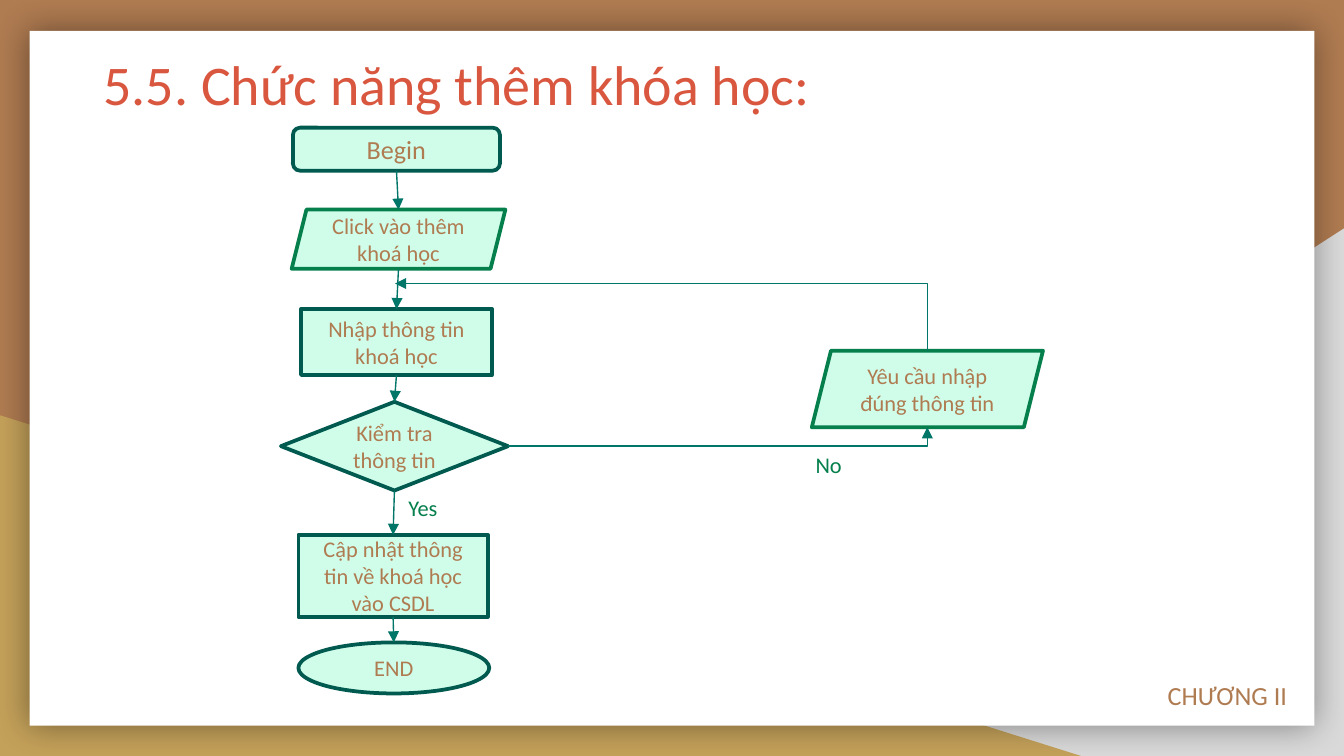
from lxml import etree
from pptx import Presentation
from pptx.dml.color import RGBColor
from pptx.enum import shapes, text
from pptx.oxml import ns
from pptx.util import Inches, Pt

BROWN, GOLD, GREY, WHITE = "AF7B51", "C4A15A", "D9D9D9", "FFFFFF"
RED, MINT, TEAL, DARK_TEAL, GREEN = "D9563F", "D0FDEA", "007669", "005A4F", "057F4C"
SHAPE = shapes.MSO_SHAPE
TOP, BOTTOM = 0, 2


def rgb(value):
    return RGBColor.from_string(value)


def child(parent, tag, **attributes):
    return etree.SubElement(parent, ns.qn(tag), attributes)


def style(paragraph, size, color):
    font = paragraph.font
    font.name, font.size = "Calibri", Pt(size)
    font.color.rgb = rgb(color)


def add_block(slide, kind, box, fill):
    block = slide.shapes.add_shape(kind, *map(Inches, box))
    block.shadow.inherit = False
    block.fill.solid()
    block.fill.fore_color.rgb = rgb(fill)
    block.line.fill.background()
    return block


def add_backdrop(slide):
    slide.background.fill.solid()
    slide.background.fill.fore_color.rgb = rgb(BROWN)
    corner = add_block(slide, SHAPE.RIGHT_TRIANGLE, (3.92, 1.7, 6.08, 3.93), GREY)
    corner.element.spPr.xfrm.set("flipH", "1")
    add_block(slide, SHAPE.RIGHT_TRIANGLE, (0, 3.09, 8.06, 2.54), GOLD)
    paper = add_block(slide, SHAPE.RECTANGLE, (0.22, 0.23, 9.56, 5.17), WHITE)
    effects = paper.element.spPr.find(ns.qn("a:effectLst"))
    shadow = child(effects, "a:outerShdw", blurRad=str(Pt(18)), dist="0",
                   algn="ctr", rotWithShape="0")
    child(child(shadow, "a:srgbClr", val="000000"), "a:alpha", val="40000")


def add_title(slide, words):
    title = slide.shapes.title
    title.left, title.top, title.width, title.height = map(Inches, (0.67, 0.27, 8.21, 1.04))
    title.element.getparent().append(title.element)  # in front of the backdrop
    frame = title.text_frame
    frame.text = words
    frame.auto_size = text.MSO_AUTO_SIZE.NONE
    frame.vertical_anchor = text.MSO_ANCHOR.TOP
    frame.margin_left = frame.margin_right = Inches(0.1)
    frame.margin_top = frame.margin_bottom = Inches(0.1)
    frame.paragraphs[0].alignment = text.PP_ALIGN.LEFT
    style(frame.paragraphs[0], 30, RED)


def add_label(slide, words, box, size, color):
    frame = slide.shapes.add_textbox(*map(Inches, box)).text_frame
    frame.word_wrap = True
    frame.text = words
    style(frame.paragraphs[0], size, color)


def add_step(slide, kind, words, box, outline=DARK_TEAL, size=12):
    step = add_block(slide, kind, box, MINT)
    step.line.color.rgb = rgb(outline)
    step.line.width = Pt(2)
    frame = step.text_frame
    frame.word_wrap = True
    frame.text = words
    frame.vertical_anchor = text.MSO_ANCHOR.MIDDLE
    frame.paragraphs[0].alignment = text.PP_ALIGN.CENTER
    style(frame.paragraphs[0], size, BROWN)
    return step


def add_arrow(slide, kind, start, end, arrow_end="a:tailEnd"):
    arrow = slide.shapes.add_connector(kind, *start, *end)
    arrow.line.color.rgb = rgb(TEAL)
    arrow.line.width = Pt(0.75)
    outline = arrow.element.spPr.find(ns.qn("a:ln"))
    child(outline, arrow_end, type="triangle")
    child(arrow.element.spPr, "a:effectLst")
    return arrow


def add_down_arrow(slide, upper, lower):
    """Arrow from bottom to top; slanted parallelograms are left unjoined."""
    arrow = add_arrow(slide, shapes.MSO_CONNECTOR.STRAIGHT,
                      (upper.left + upper.width // 2, upper.top + upper.height),
                      (lower.left + lower.width // 2, lower.top))
    if upper.auto_shape_type != SHAPE.PARALLELOGRAM:
        arrow.begin_connect(upper, BOTTOM)
    if lower.auto_shape_type != SHAPE.PARALLELOGRAM:
        arrow.end_connect(lower, TOP)


def add_corner_arrow(slide, start, end, arrow_end):
    """One-bend line: across from start, then up or down to end."""
    arrow = add_arrow(slide, shapes.MSO_CONNECTOR.ELBOW,
                      map(Inches, start), map(Inches, end), arrow_end)
    arrow.element.spPr.find(ns.qn("a:prstGeom")).set("prst", "bentConnector2")


def main():
    deck = Presentation()
    deck.slide_width = Inches(10)
    deck.slide_height = deck.slide_width * 9 // 16
    slide = deck.slides.add_slide(deck.slide_layouts[5])
    add_backdrop(slide)
    add_title(slide, "5.5. Chức năng thêm khóa học:")
    add_label(slide, "CHƯƠNG II", (8.59, 5.01, 1.3, 0.34), 14, BROWN)

    flow = [
        add_step(slide, SHAPE.ROUNDED_RECTANGLE, "Begin", (2.18, 0.95, 1.54, 0.32), size=14),
        add_step(slide, SHAPE.PARALLELOGRAM, "Click vào thêm khoá học",
                 (2.17, 1.56, 1.59, 0.44), GREEN),
        add_step(slide, SHAPE.RECTANGLE, "Nhập thông tin khoá học", (2.24, 2.3, 1.42, 0.49)),
        add_step(slide, SHAPE.DIAMOND, "Kiểm tra thông tin", (2.09, 2.99, 1.69, 0.66)),
        add_step(slide, SHAPE.RECTANGLE, "Cập nhật thông tin về khoá học vào CSDL",
                 (2.22, 3.98, 1.41, 0.61)),
        add_step(slide, SHAPE.OVAL, "END", (2.22, 4.78, 1.42, 0.38)),
    ]
    for upper, lower in zip(flow, flow[1:]):
        add_down_arrow(slide, upper, lower)

    add_step(slide, SHAPE.PARALLELOGRAM, "Yêu cầu nhập đúng thông tin",
             (6.04, 2.61, 1.72, 0.57), GREEN)
    add_corner_arrow(slide, (3.78, 3.32), (6.9, 3.18), "a:tailEnd")
    add_corner_arrow(slide, (2.94, 2.11), (6.9, 2.61), "a:headEnd")
    add_label(slide, "No", (5.97, 3.31, 1, 0.3), 12, GREEN)
    add_label(slide, "Yes", (2.94, 3.63, 1, 0.5), 12, GREEN)
    deck.save("out.pptx")


if __name__ == "__main__":
    main()
